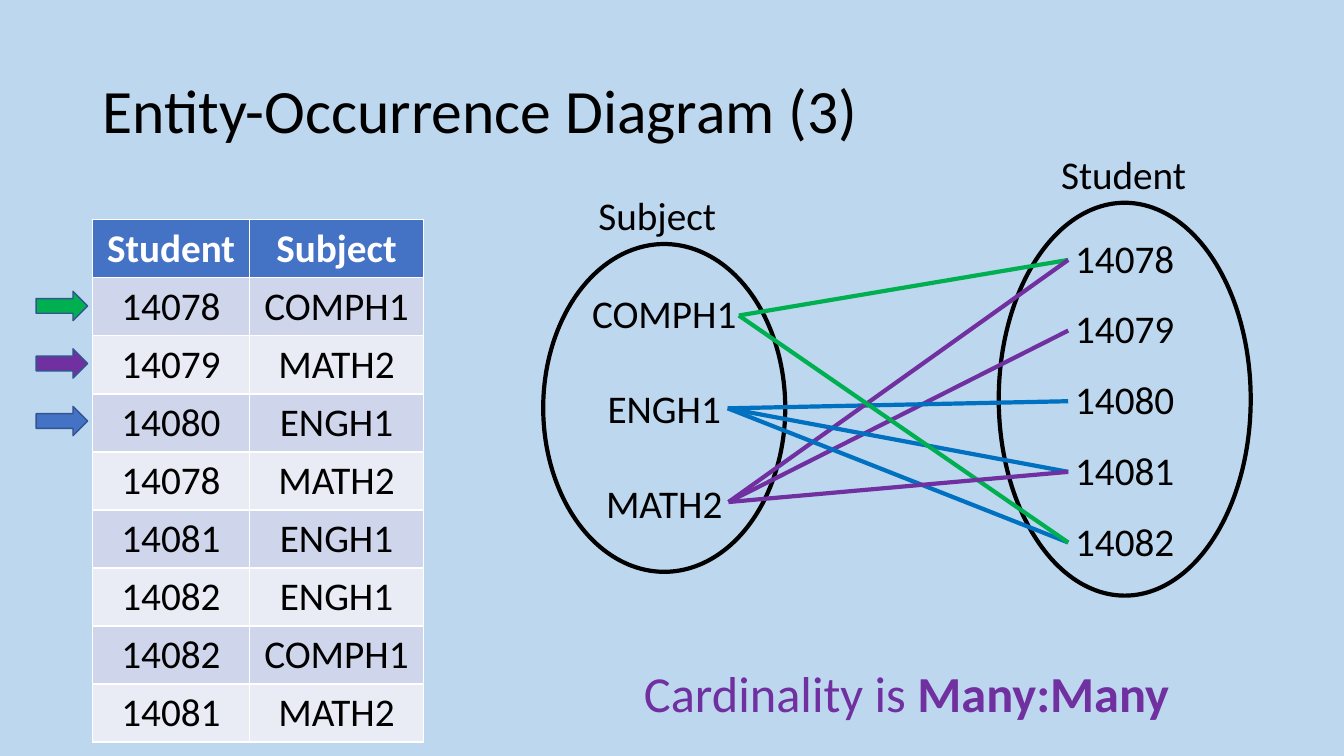
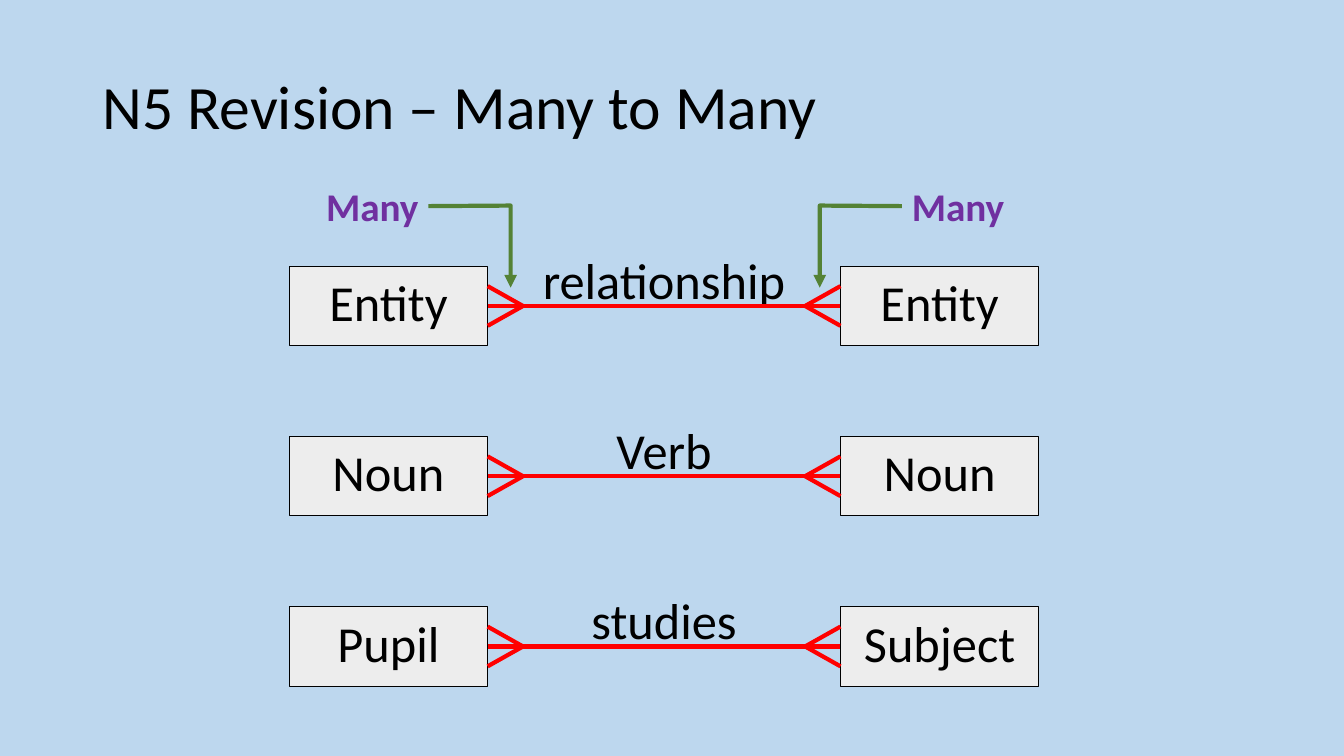
from lxml.etree import SubElement
from pptx import Presentation
from pptx.dml.color import RGBColor
from pptx.enum.shapes import MSO_CONNECTOR, MSO_SHAPE
from pptx.enum.text import MSO_ANCHOR, PP_ALIGN
from pptx.oxml.ns import qn
from pptx.util import Cm, Pt

BLACK = "000000"
WHITE = "FFFFFF"
GREEN = "00B050"
BLUE = "0070C0"
ACCENT_BLUE = "4472C4"
PURPLE = "7030A0"
RED = "FF0000"


def write(paragraph, text, color=BLACK, alignment=PP_ALIGN.CENTER, **formats):
    paragraph.alignment = alignment
    font = paragraph.add_run().font
    paragraph.runs[-1].text = text
    for name, value in {"name": "Calibri", "size": Pt(28), "bold": False, **formats}.items():
        setattr(font, name, value)
    font.color.rgb = RGBColor.from_string(color)


def draw_shape(slide, kind, position, line_color, line_width, fill_color=None):
    shape = slide.shapes.add_shape(kind, *[Cm(length) for length in position])
    shape.shadow.inherit = False
    shape.line.color.rgb = RGBColor.from_string(line_color)
    shape.line.width = Pt(line_width)
    if fill_color:
        shape.fill.solid()
        shape.fill.fore_color.rgb = RGBColor.from_string(fill_color)
    else:
        shape.fill.background()
    return shape


presentation = Presentation()
presentation.slide_width = Cm(33.87)
presentation.slide_height = Cm(19.05)
background = presentation.slide_master.background.fill
background.solid()
background.fore_color.rgb = RGBColor.from_string("BDD7EE")

slides = []
for title_text, title_top in [
    ("Entity-Occurrence Diagram (3)", 1.02),
    ("N5 Revision – Many to Many", 0.91),
]:
    slide = presentation.slides.add_slide(presentation.slide_layouts[5])
    title = slide.shapes.title
    title_format = {"left": 2.33, "top": title_top, "width": 29.21, "height": 3.68}
    for name, value in title_format.items():
        setattr(title, name, Cm(value))
    title.text_frame.vertical_anchor = MSO_ANCHOR.MIDDLE
    paragraph = title.text_frame.paragraphs[0]
    paragraph.line_spacing = 0.9
    write(paragraph, title_text, alignment=PP_ALIGN.LEFT, size=Pt(44))
    slides.append(slide)
occurrence_slide, revision_slide = slides
lines = []

header = ("Student", "Subject")
enrolments = [
    ("14078", "COMPH1"),
    ("14079", "MATH2"),
    ("14080", "ENGH1"),
    ("14078", "MATH2"),
    ("14081", "ENGH1"),
    ("14082", "ENGH1"),
    ("14082", "COMPH1"),
    ("14081", "MATH2"),
]
rows = [header, *enrolments]
row_height = 1.46
table = occurrence_slide.shapes.add_table(
    len(rows), 2, Cm(2.33), Cm(5.54), Cm(8.34), Cm(row_height * len(rows))
).table
for column, width in zip(table.columns, (3.96, 4.38)):
    column.width = Cm(width)
for row_index, values in enumerate(rows):
    table.rows[row_index].height = Cm(row_height)
    is_header = row_index == 0
    fill_color = ACCENT_BLUE if is_header else ("E9EBF5", "CFD5EA")[row_index % 2]
    for cell, value in zip(table.rows[row_index].cells, values):
        cell.fill.solid()
        cell.fill.fore_color.rgb = RGBColor.from_string(fill_color)
        cell.vertical_anchor = MSO_ANCHOR.MIDDLE
        write(cell.text_frame.paragraphs[0], value, WHITE if is_header else BLACK, bold=is_header)

for index, color in enumerate((GREEN, PURPLE, ACCENT_BLUE)):
    position = (0.91, 7.34 + 1.45 * index, 1.3, 0.74)
    draw_shape(occurrence_slide, MSO_SHAPE.RIGHT_ARROW, position, "325491", 1, color)

subjects = {
    "COMPH1": (18.62, 7.95, GREEN),
    "ENGH1": (18.34, 10.29, BLUE),
    "MATH2": (18.36, 12.65, PURPLE),
}
students = ["14078", "14079", "14080", "14081", "14082"]
for position, labels, gap in [
    ((13.69, 6.15, 6.1, 8.26), subjects, 34),
    ((25.17, 5.11, 6.35, 9.9), students, 17),
]:
    frame = draw_shape(occurrence_slide, MSO_SHAPE.OVAL, position, BLACK, 3).text_frame
    frame.word_wrap = True
    frame.vertical_anchor = MSO_ANCHOR.MIDDLE
    for index, label in enumerate(labels):
        paragraph = frame.add_paragraph() if index else frame.paragraphs[0]
        paragraph.space_before = Pt(gap if index else 0)
        write(paragraph, label)

for student, subject in enrolments:
    x, y, color = subjects[subject]
    student_y = 6.55 + 1.78 * students.index(student)
    lines.append((occurrence_slide, (x, y, 26.92, student_y), color))

for position, runs, color, size in [
    ((14.83, 4.7, 3.9, 1.45), ["Subject"], BLACK, 28),
    ((26.49, 3.66, 3.9, 1.45), ["Student"], BLACK, 28),
    ((15.98, 16.56, 13.87, 1.8), ["Cardinality is ", "Many:Many"], PURPLE, 36),
]:
    text_box = occurrence_slide.shapes.add_textbox(*[Cm(length) for length in position])
    text_box.text_frame.word_wrap = True
    for index, text in enumerate(runs):
        write(text_box.text_frame.paragraphs[0], text, color, PP_ALIGN.LEFT, size=Pt(size), bold=index > 0)

for left, alignment, flipped in [(22.73, PP_ALIGN.LEFT, False), (7.8, PP_ALIGN.RIGHT, True)]:
    callout = draw_shape(
        revision_slide, MSO_SHAPE.LINE_CALLOUT_2_NO_BORDER, (left, 4.52, 3, 1.35), "548235", 3
    )
    for index, value in enumerate((0.5, 0, 0.49, -0.69, 2.02, -0.69)):
        callout.adjustments[index] = value
    if flipped:
        callout.element.spPr.find(qn("a:xfrm")).set("flipH", "1")
    SubElement(callout.element.spPr.find(qn("a:ln")), qn("a:tailEnd"), type="triangle")
    callout.text_frame.vertical_anchor = MSO_ANCHOR.MIDDLE
    write(callout.text_frame.paragraphs[0], "Many", PURPLE, alignment, bold=True)

box_width = 5
left_box, right_box = 7.29, 21.18
left_edge = left_box + box_width
fork_length = 0.89
for index, (left_name, verb, right_name) in enumerate([
    ("Entity", "relationship", "Entity"),
    ("Noun", "Verb", "Noun"),
    ("Pupil", "studies", "Subject"),
]):
    top = 6.71 + 4.29 * index
    middle = top + 1
    for left, name in [(left_box, left_name), (right_box, right_name)]:
        box = draw_shape(revision_slide, MSO_SHAPE.RECTANGLE, (left, top, box_width, 2), BLACK, 0.75, "EDEDED")
        box.text_frame.vertical_anchor = MSO_ANCHOR.TOP
        write(box.text_frame.paragraphs[0], name, size=Pt(36))
    label = revision_slide.shapes.add_textbox(
        Cm(left_edge), Cm(top - 0.56), Cm(right_box - left_edge), Cm(1.8)
    )
    label.text_frame.word_wrap = True
    write(label.text_frame.paragraphs[0], verb, size=Pt(36))
    lines.append((revision_slide, (left_edge, middle, right_box, middle), RED))
    for edge, tip in [(left_edge, left_edge + fork_length), (right_box, right_box - fork_length)]:
        for offset in (-0.5, 0.5):
            lines.append((revision_slide, (tip, middle, edge, middle + offset), RED))

for slide, ends, color in lines:
    connector = slide.shapes.add_connector(MSO_CONNECTOR.STRAIGHT, *[Cm(length) for length in ends])
    connector.line.color.rgb = RGBColor.from_string(color)
    connector.line.width = Pt(3)
    SubElement(connector.element.spPr, qn("a:effectLst"))

presentation.save("out.pptx")
